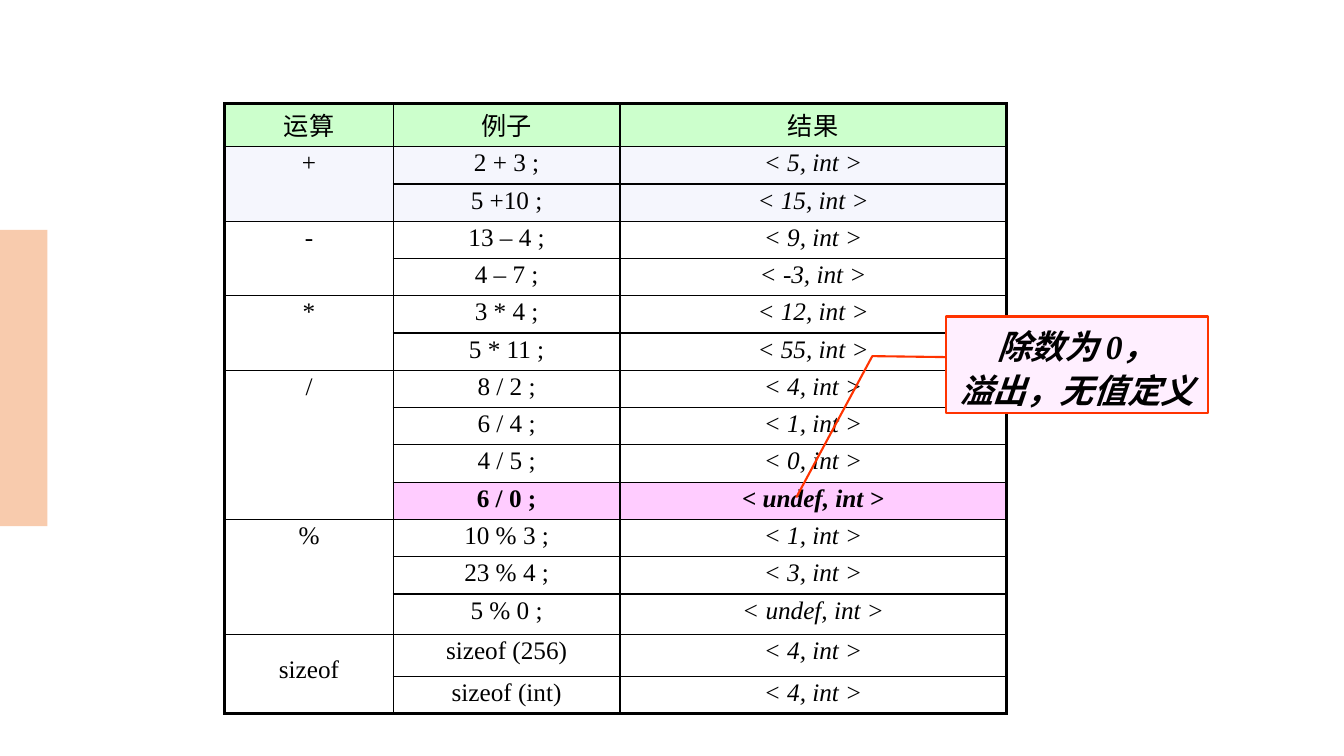
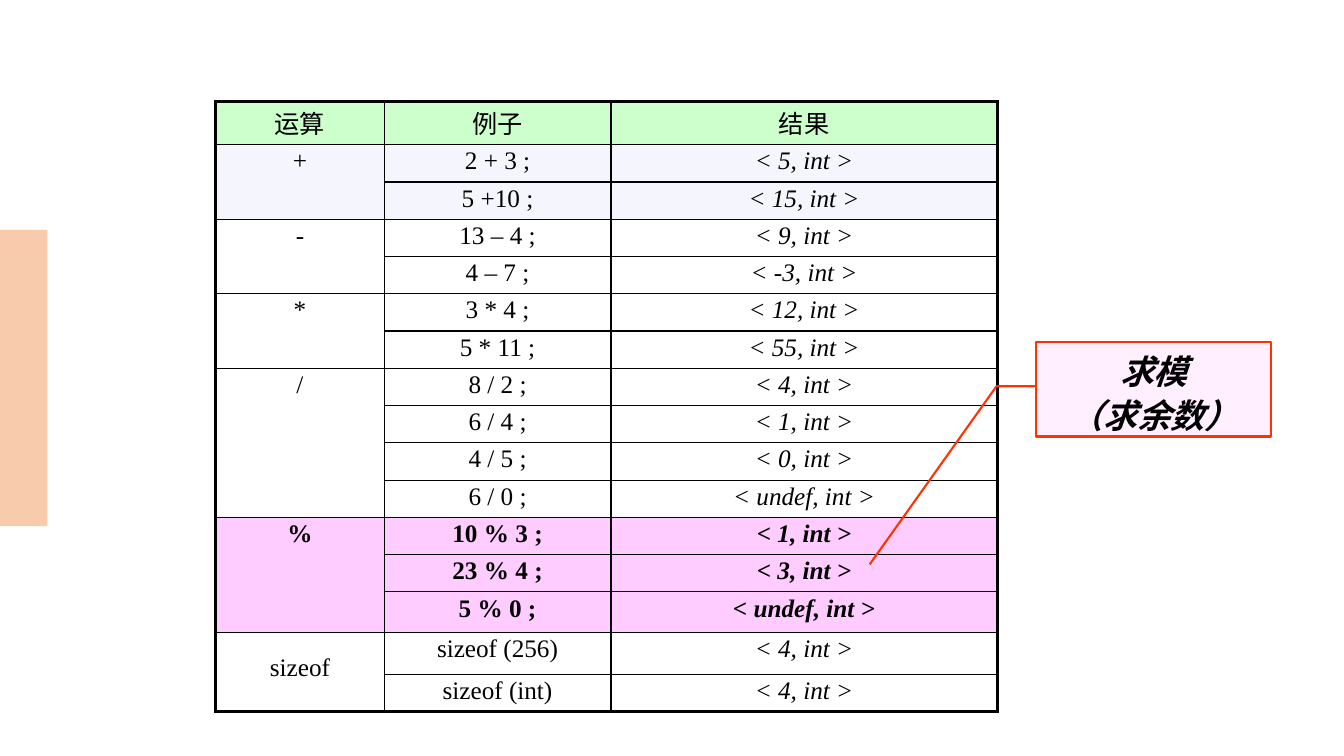
from lxml import etree
from pptx import Presentation
from pptx.dml.color import RGBColor
from pptx.enum.shapes import MSO_SHAPE
from pptx.enum.text import MSO_ANCHOR, PP_ALIGN
from pptx.oxml.ns import qn
from pptx.util import Inches, Pt

RECTANGLE = MSO_SHAPE.RECTANGLE
BENT_CALLOUT = MSO_SHAPE.LINE_CALLOUT_2
CENTER = PP_ALIGN.CENTER
TOP = MSO_ANCHOR.TOP

# Shared look
FONT = "Times New Roman"
BLACK = "000000"
WHITE = "FFFFFF"
HEADER_FILL = "CCFFCC"
FIRST_GROUP_FILL = "F5F6FD"
HIGHLIGHT_FILL = "FFCCFF"
CALLOUT_FILL = "FFEFFF"
CALLOUT_LINE = "FF3300"
BAND_FILL = "F8CBAD"
THIN, THICK = 1, 2.25

# Table content: operator, then its examples with their results
HEADINGS = ["运算", "例子", "结果"]
GROUPS = [
    ("+", [("2 + 3 ;", "5"), ("5 +10 ;", "15")]),
    ("-", [("13 – 4 ;", "9"), ("4 – 7 ;", "-3")]),
    ("*", [("3 * 4 ;", "12"), ("5 * 11 ;", "55")]),
    ("/", [("8 / 2 ;", "4"), ("6 / 4 ;", "1"), ("4 / 5 ;", "0"),
           ("6 / 0 ;", "undef")]),
    ("%", [("10 % 3 ;", "1"), ("23 % 4 ;", "3"), ("5 % 0 ;", "undef")]),
    ("sizeof", [("sizeof (256)", "4"), ("sizeof (int)", "4")]),
]
COLUMN_WIDTHS = [1.67, 2.25, 3.83]
ROW_HEIGHTS = [0.37] * 13 + [0.4, 0.42, 0.37]


def color(value):
    return RGBColor.from_string(value)


def write_paragraph(paragraph, text, size, spacing, bold=False, italic=False):
    paragraph.alignment = CENTER
    paragraph.line_spacing = spacing
    run = paragraph.add_run()
    run.text = text
    font = run.font
    font.name = FONT
    font.size = Pt(size)
    font.bold = bold
    font.italic = italic
    font.color.rgb = color(BLACK)


def set_space_before(paragraph, percent):
    properties = paragraph._p.get_or_add_pPr()
    space = etree.SubElement(properties, qn("a:spcBef"))
    etree.SubElement(space, qn("a:spcPct"), val=str(percent * 1000))


def set_borders(cell, left, right, top, bottom):
    properties = cell._tc.get_or_add_tcPr()
    sides = {"a:lnL": left, "a:lnR": right, "a:lnT": top, "a:lnB": bottom}
    for tag, width in sides.items():
        line = etree.SubElement(properties, qn(tag), w=str(Pt(width)))
        fill = etree.SubElement(line, qn("a:solidFill"))
        etree.SubElement(fill, qn("a:srgbClr"), val=BLACK)


def style_cell(table, row, column, fill, last_row=None):
    """Border and fill one cell; last_row is where its merged area ends."""
    cell = table.cell(row, column)
    last_row = row if last_row is None else last_row
    set_borders(
        cell,
        left=THICK if column == 0 else THIN,
        right=THICK if column == len(COLUMN_WIDTHS) - 1 else THIN,
        top=THICK if row == 0 else THIN,
        bottom=THICK if last_row == len(ROW_HEIGHTS) - 1 else THIN,
    )
    cell.fill.solid()
    cell.fill.fore_color.rgb = color(fill)


def write_cell(cell, text, spacing=0.9, bold=False, italic=False):
    paragraph = cell.text_frame.paragraphs[0]
    write_paragraph(paragraph, text, 18, spacing, bold, italic)
    set_space_before(paragraph, 20)


def add_operator_table(slide, left, top, highlighted):
    frame = slide.shapes.add_table(
        len(ROW_HEIGHTS), len(COLUMN_WIDTHS), Inches(left), Inches(top),
        Inches(sum(COLUMN_WIDTHS)), Inches(sum(ROW_HEIGHTS)))
    table = frame.table
    table.first_row = False
    table.horz_banding = False
    for column, width in zip(table.columns, COLUMN_WIDTHS):
        column.width = Inches(width)
    for row, height in zip(table.rows, ROW_HEIGHTS):
        row.height = Inches(height)

    # Header row
    for column, heading in enumerate(HEADINGS):
        style_cell(table, 0, column, HEADER_FILL)
        write_cell(table.cell(0, column), heading)

    # One block of rows for each operator
    row = 1
    for operator, examples in GROUPS:
        last_row = row + len(examples) - 1
        base_fill = FIRST_GROUP_FILL if row == 1 else WHITE
        whole_group = all(example in highlighted for example, _ in examples)
        operator_fill = HIGHLIGHT_FILL if whole_group else base_fill
        operator_cell = table.cell(row, 0)
        operator_cell.merge(table.cell(last_row, 0))
        write_cell(operator_cell, operator, bold=whole_group,
                   spacing=1.6 if operator == "sizeof" else 0.9)
        for example, value in examples:
            bold = example in highlighted
            fill = HIGHLIGHT_FILL if bold else base_fill
            style_cell(table, row, 0, operator_fill, last_row)
            style_cell(table, row, 1, fill)
            style_cell(table, row, 2, fill)
            write_cell(table.cell(row, 1), example, bold=bold)
            write_cell(table.cell(row, 2), f"< {value}, int >", bold=bold,
                       italic=True)
            row += 1


def add_box(slide, preset, box, fill):
    shape = slide.shapes.add_shape(preset, *(Inches(value) for value in box))
    shape.shadow.inherit = False
    shape.fill.solid()
    shape.fill.fore_color.rgb = color(fill)
    return shape


def add_callout(slide, box, pointer, lines):
    """pointer holds y, x pairs as fractions of the box."""
    callout = add_box(slide, BENT_CALLOUT, box, CALLOUT_FILL)
    callout.line.color.rgb = color(CALLOUT_LINE)
    callout.line.width = Pt(1.5)
    for index, value in enumerate(pointer):
        callout.adjustments[index] = value
    text_frame = callout.text_frame
    text_frame.word_wrap = True
    text_frame.vertical_anchor = TOP
    for index, text in enumerate(lines):
        paragraph = (text_frame.add_paragraph() if index
                     else text_frame.paragraphs[0])
        write_paragraph(paragraph, text, 24, 1.1, bold=True, italic=True)


def add_side_band(slide):
    band = add_box(slide, RECTANGLE, (0, 2.28, 0.47, 2.94), BAND_FILL)
    band.line.fill.background()


def add_operator_slide(presentation, table_at, highlighted, callout):
    slide = presentation.slides.add_slide(presentation.slide_layouts[6])
    add_operator_table(slide, *table_at, highlighted)
    add_callout(slide, **callout)
    add_side_band(slide)


def main():
    presentation = Presentation()
    presentation.slide_width = Inches(13.33)
    presentation.slide_height = Inches(7.5)

    # Division by zero
    add_operator_slide(
        presentation, (2.23, 1.03), {"6 / 0 ;"},
        {"box": (9.38, 3.14, 2.6, 0.96),
         "pointer": (0.42, 0, 0.41, -0.28, 1.87, -0.57),
         "lines": ["除数为 0，", "溢出，无值定义"]})

    # Remainder
    add_operator_slide(
        presentation, (2.14, 1.01), {"10 % 3 ;", "23 % 4 ;", "5 % 0 ;"},
        {"box": (10.28, 3.39, 2.33, 0.94),
         "pointer": (0.47, 0, 0.47, -0.17, 2.35, -0.71),
         "lines": ["求模", "（求余数）"]})

    presentation.save("out.pptx")


if __name__ == "__main__":
    main()
